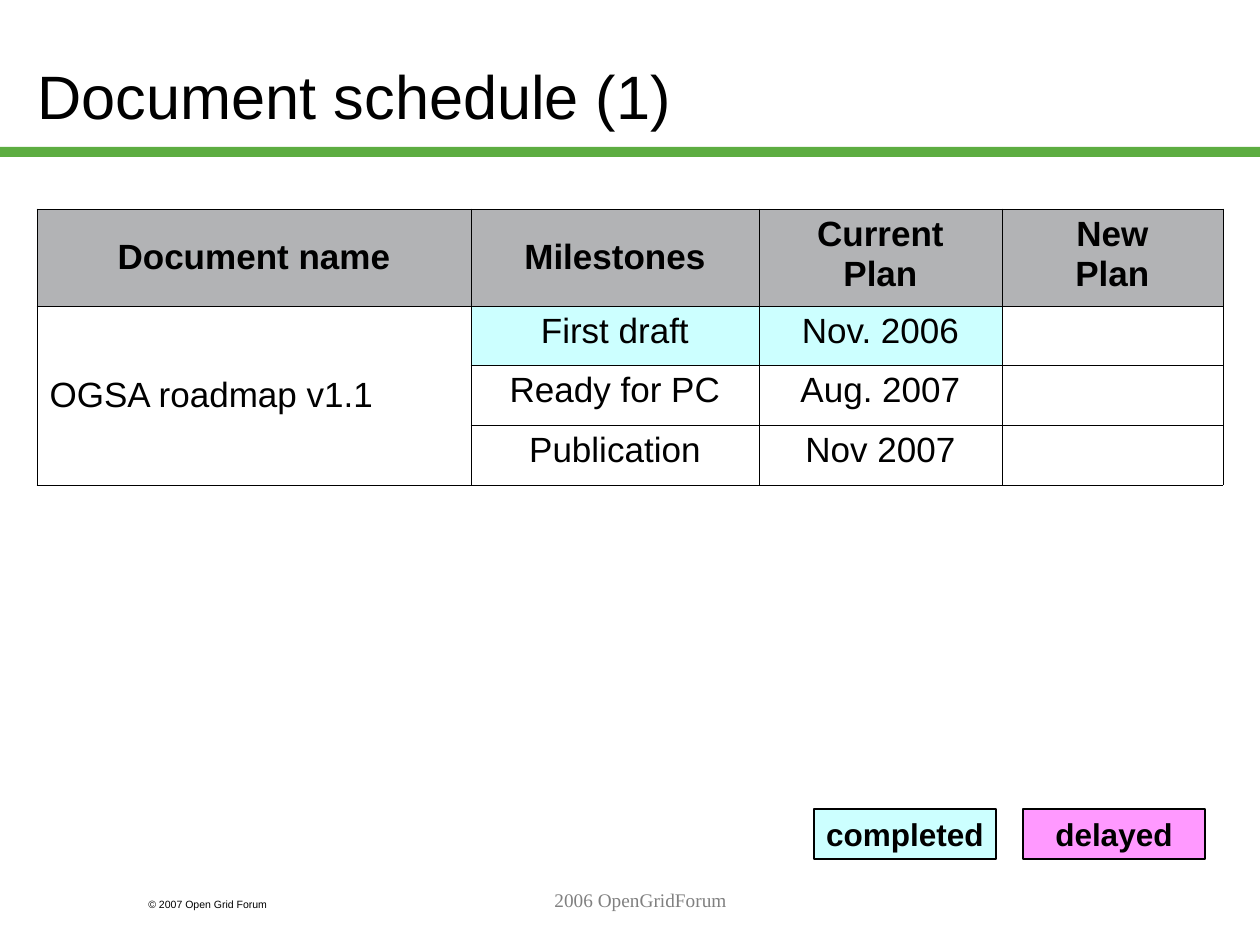
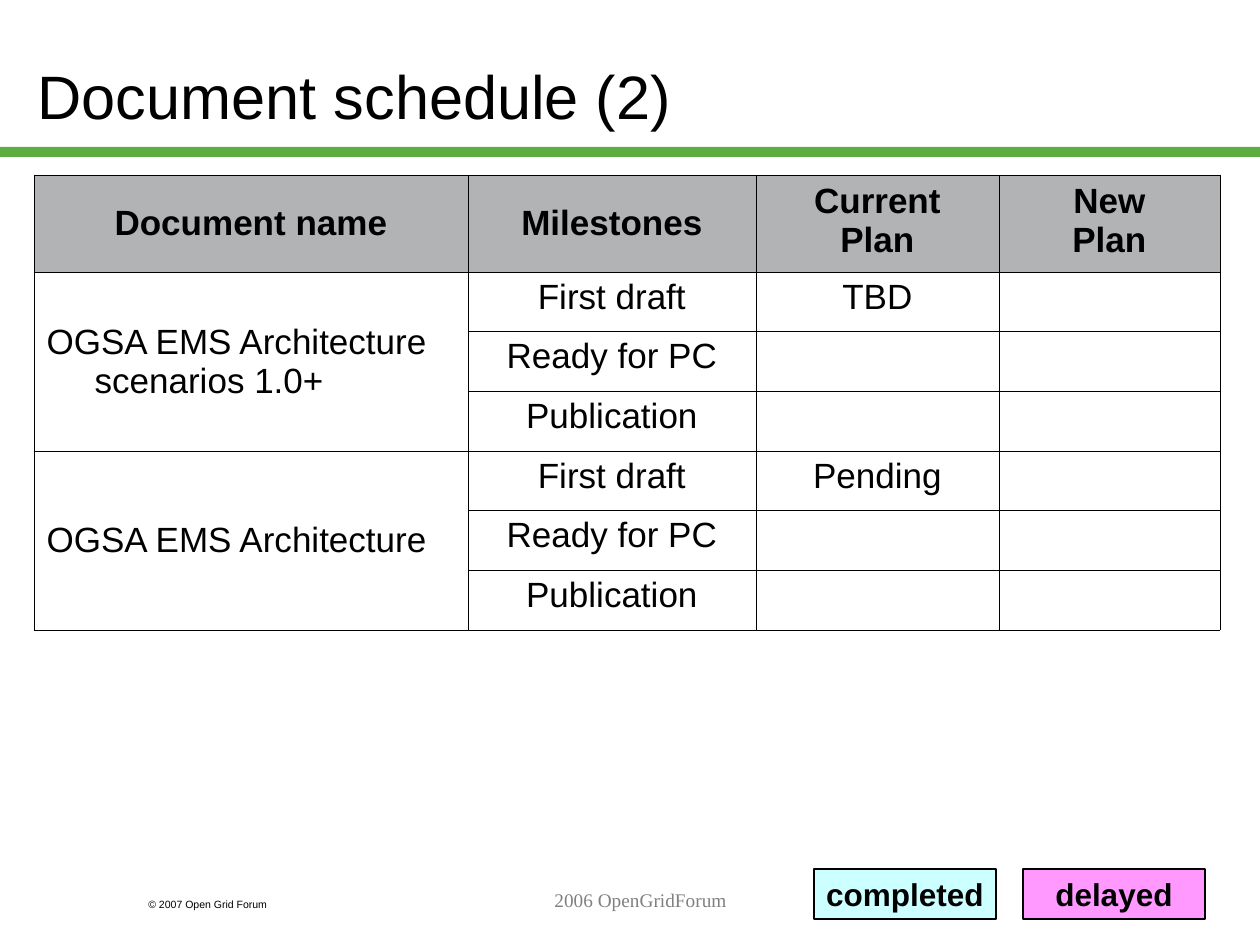
from lxml import etree
from pptx import Presentation
from pptx.dml.color import RGBColor
from pptx.enum.shapes import MSO_SHAPE
from pptx.enum.text import MSO_ANCHOR, MSO_AUTO_SIZE, PP_ALIGN
from pptx.oxml.ns import qn
from pptx.util import Emu, Pt

RECT = MSO_SHAPE.RECTANGLE
LEFT, CENTER = PP_ALIGN.LEFT, PP_ALIGN.CENTER
TOP, MIDDLE = MSO_ANCHOR.TOP, MSO_ANCHOR.MIDDLE
NO_AUTOSIZE = MSO_AUTO_SIZE.NONE

EMU_PER_PX = 914400 / 126
TITLE_ONLY = 5
SANS, SERIF = "Arial", "Times New Roman"
COLORS = {
    "black": "000000",
    "white": "FFFFFF",
    "band": "5DAD41",
    "header": "B2B3B5",
    "completed": "CCFFFF",
    "delayed": "FF99FF",
    "footer": "808080",
}

HEADERS = ["Document name", "Milestones", "Current\nPlan", "New\nPlan"]
MILESTONES = ["First draft", "Ready for PC", "Publication"]
COL_WIDTHS = [434, 288, 243, 221]
HEADER_HEIGHT = 97
MILESTONE_HEIGHTS = [59, 60, 60]
HANGING = 48
BORDER_PT = 0.45

# Each document: name, current plan per milestone, number of completed milestones
SCHEDULES = [
    {
        "title": "Document schedule (1)",
        "table_at": (37, 209),
        "legend_top": 809,
        "documents": [("OGSA roadmap v1.1", ["Nov. 2006", "Aug. 2007", "Nov 2007"], 1)],
    },
    {
        "title": "Document schedule (2)",
        "table_at": (34, 175),
        "legend_top": 869,
        "documents": [
            ("OGSA EMS Architecture scenarios 1.0+", ["TBD", "", ""], 0),
            ("OGSA EMS Architecture", ["Pending", "", ""], 0),
        ],
    },
]


def px(n):
    return Emu(round(n * EMU_PER_PX))


def color(name):
    return RGBColor.from_string(COLORS[name])


def write(tf, text, size, align=LEFT, font=SANS, fill="black", bold=False):
    """Fill a text frame, one paragraph per line of text."""
    tf.text = text
    for p in tf.paragraphs:
        p.alignment = align
        p.font.name, p.font.size, p.font.bold = font, Pt(size), bold
        p.font.color.rgb = color(fill)


def add_title(s, text):
    sp = s.shapes.title
    sp.left, sp.top, sp.width, sp.height = px(25), px(16), px(1071), px(158)
    tf = sp.text_frame
    tf.auto_size, tf.word_wrap, tf.vertical_anchor = NO_AUTOSIZE, True, MIDDLE
    write(tf, text, 35)


def add_text(s, x, y, w, h, text, size, **style):
    tf = s.shapes.add_textbox(px(x), px(y), px(w), px(h)).text_frame
    tf.word_wrap = True
    write(tf, text, size, **style)


def add_box(s, x, y, w, h, fill, line=None):
    sp = s.shapes.add_shape(RECT, px(x), px(y), px(w), px(h))
    sp.shadow.inherit = False
    sp.fill.solid()
    sp.fill.fore_color.rgb = color(fill)
    if line:
        sp.line.color.rgb = color(line)
        sp.line.width = Pt(0.75)
    else:
        sp.line.fill.background()
    return sp


def add_frame(s):
    """Green band and footers, the same on every slide."""
    add_box(s, 0, 147, 1260, 10, "band")
    add_text(s, 136, 892, 189, 25, "© 2007 Open Grid Forum", 6)
    add_text(s, 273, 882, 735, 63, "2006 OpenGridForum", 11,
             align=CENTER, font=SERIF, fill="footer")


def add_legend(s, top):
    for i, status in enumerate(["completed", "delayed"]):
        sp = add_box(s, 814 + i * 209, top, 182, 50, status, line="black")
        tf = sp.text_frame
        tf.word_wrap, tf.vertical_anchor = False, MIDDLE
        write(tf, status, 18, align=CENTER, bold=True)


def set_borders(cell):
    tc_pr = cell._tc.get_or_add_tcPr()
    for side in ("a:lnL", "a:lnR", "a:lnT", "a:lnB"):
        ln = etree.SubElement(tc_pr, qn(side), w=str(Pt(BORDER_PT)))
        solid = etree.SubElement(ln, qn("a:solidFill"))
        etree.SubElement(solid, qn("a:srgbClr"), val=COLORS["black"])


def set_cell(cell, text="", fill="white", align=CENTER, anchor=TOP, bold=False):
    cell.fill.solid()
    cell.fill.fore_color.rgb = color(fill)
    cell.vertical_anchor = anchor
    write(cell.text_frame, text, 20, align=align, bold=bold)
    for p in cell.text_frame.paragraphs:
        p_pr = p._p.get_or_add_pPr()
        p_pr.set("marL", str(px(HANGING)))
        p_pr.set("indent", str(-px(HANGING)))


def add_schedule(s, x, y, documents):
    heights = [HEADER_HEIGHT] + MILESTONE_HEIGHTS * len(documents)
    table = s.shapes.add_table(len(heights), len(COL_WIDTHS), px(x), px(y),
                               px(sum(COL_WIDTHS)), px(sum(heights))).table
    table.first_row = table.horz_banding = False
    for col, w in zip(table.columns, COL_WIDTHS):
        col.width = px(w)
    for row, h in zip(table.rows, heights):
        row.height = px(h)
    for cell in table.iter_cells():
        set_borders(cell)
        set_cell(cell)

    # Header row
    for c, text in enumerate(HEADERS):
        anchor = TOP if "\n" in text else MIDDLE
        set_cell(table.cell(0, c), text, "header", anchor=anchor, bold=True)

    # One merged name cell per document, with its milestones beside it
    for d, (name, plans, done) in enumerate(documents):
        first = 1 + d * len(MILESTONES)
        name_cell = table.cell(first, 0)
        name_cell.merge(table.cell(first + len(MILESTONES) - 1, 0))
        set_cell(name_cell, name, align=LEFT, anchor=MIDDLE)
        for i, (milestone, plan) in enumerate(zip(MILESTONES, plans)):
            fill = "completed" if i < done else "white"
            set_cell(table.cell(first + i, 1), milestone, fill)
            set_cell(table.cell(first + i, 2), plan, fill)


def main():
    prs = Presentation()
    prs.slide_width, prs.slide_height = px(1260), px(945)
    for schedule in SCHEDULES:
        s = prs.slides.add_slide(prs.slide_layouts[TITLE_ONLY])
        add_frame(s)
        add_title(s, schedule["title"])
        add_schedule(s, *schedule["table_at"], schedule["documents"])
        add_legend(s, schedule["legend_top"])
    prs.save("out.pptx")


if __name__ == "__main__":
    main()
